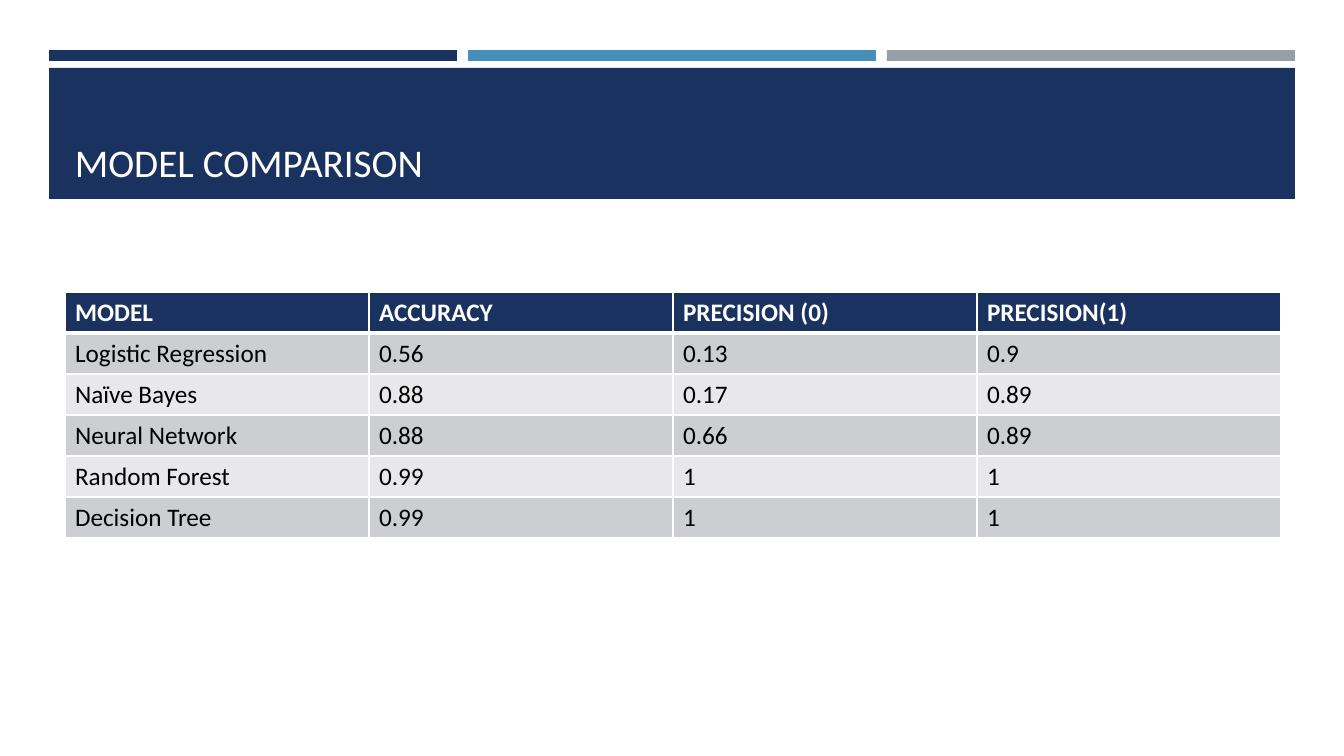
from dataclasses import dataclass

from lxml.etree import SubElement
from pptx import Presentation
from pptx.dml.color import RGBColor
from pptx.enum.shapes import MSO_SHAPE
from pptx.enum.text import MSO_ANCHOR
from pptx.oxml.ns import qn
from pptx.slide import Slide
from pptx.table import _Cell
from pptx.text.text import TextFrame
from pptx.util import Emu, Pt

PAGE_WIDTH, PAGE_HEIGHT = 1344, 756
EMU_PER_PX = 12192000 / PAGE_WIDTH


@dataclass(frozen=True)
class Theme:
    navy: str = "1A3260"
    blue: str = "4590B8"
    gray: str = "969FA7"
    white: str = "FFFFFF"
    title_text: str = "FFFEFF"
    black: str = "000000"
    bands: tuple[str, str] = ("CDCED2", "E8E8EA")
    font: str = "Calibri"
    title_size: int = 28
    table_size: int = 18
    thin_border: int = 1
    header_border: int = 3


@dataclass(frozen=True)
class Area:
    left: int
    top: int
    width: int
    height: int

    def emu(self) -> tuple[Emu, Emu, Emu, Emu]:
        return px(self.left), px(self.top), px(self.width), px(self.height)


@dataclass(frozen=True)
class Bar:
    area: Area
    color: str


THEME = Theme()
STRIP_STEP = 419
STRIPS = [
    Bar(Area(49 + index * STRIP_STEP, 50, 408, 11), color)
    for index, color in enumerate((THEME.navy, THEME.blue, THEME.gray))
]
BANNER = Bar(Area(49, 68, 1246, 131), THEME.navy)
TITLE_AREA = Area(65, 78, 1215, 112)
TABLE_LEFT, TABLE_TOP = 65, 292
COLUMN_WIDTH, ROW_HEIGHT = 304, 41

RESULTS = [
    ("MODEL", "ACCURACY", "PRECISION (0)", "PRECISION(1)"),
    ("Logistic Regression", "0.56", "0.13", "0.9"),
    ("Naïve Bayes", "0.88", "0.17", "0.89"),
    ("Neural Network", "0.88", "0.66", "0.89"),
    ("Random Forest", "0.99", "1", "1"),
    ("Decision Tree", "0.99", "1", "1"),
]


def px(length: int) -> Emu:
    return Emu(round(length * EMU_PER_PX))


def write(frame: TextFrame, text: str, *, size: int, color: str, bold: bool = False) -> None:
    span = frame.paragraphs[0].add_run()
    span.text = text
    span.font.name = THEME.font
    span.font.size = Pt(size)
    span.font.bold = bold
    span.font.color.rgb = RGBColor.from_string(color)


def draw_bar(page: Slide, bar: Bar) -> None:
    shape = page.shapes.add_shape(MSO_SHAPE.RECTANGLE, *bar.area.emu())
    shape.shadow.inherit = False
    shape.fill.solid()
    shape.fill.fore_color.rgb = RGBColor.from_string(bar.color)
    shape.line.fill.background()


def draw_title(page: Slide, text: str) -> None:
    box = page.shapes.add_textbox(*TITLE_AREA.emu())
    box.text_frame.word_wrap = True
    box.text_frame.vertical_anchor = MSO_ANCHOR.BOTTOM
    write(box.text_frame, text, size=THEME.title_size, color=THEME.title_text)


def set_borders(cell: _Cell, top: int, bottom: int) -> None:
    """Draw white cell edges; top and bottom widths are in points."""
    properties = cell._tc.get_or_add_tcPr()
    widths = {"lnL": THEME.thin_border, "lnR": THEME.thin_border, "lnT": top, "lnB": bottom}
    for edge, width in widths.items():
        line = SubElement(properties, qn(f"a:{edge}"), w=str(Pt(width)))
        fill = SubElement(line, qn("a:solidFill"))
        SubElement(fill, qn("a:srgbClr"), val=THEME.white)


def draw_table(page: Slide, rows: list[tuple[str, ...]]) -> None:
    row_count, column_count = len(rows), len(rows[0])
    area = Area(TABLE_LEFT, TABLE_TOP, COLUMN_WIDTH * column_count, ROW_HEIGHT * row_count)
    table = page.shapes.add_table(row_count, column_count, *area.emu()).table
    table.horz_banding = False
    for row_index, values in enumerate(rows):
        header = row_index == 0
        fill_color = THEME.navy if header else THEME.bands[(row_index - 1) % 2]
        top = THEME.header_border if row_index == 1 else THEME.thin_border
        bottom = THEME.header_border if header else THEME.thin_border
        for column_index, value in enumerate(values):
            cell = table.cell(row_index, column_index)
            set_borders(cell, top, bottom)
            cell.fill.solid()
            cell.fill.fore_color.rgb = RGBColor.from_string(fill_color)
            write(
                cell.text_frame,
                value,
                size=THEME.table_size,
                color=THEME.white if header else THEME.black,
                bold=header,
            )


def main() -> None:
    deck = Presentation()
    deck.slide_width, deck.slide_height = px(PAGE_WIDTH), px(PAGE_HEIGHT)
    page = deck.slides.add_slide(deck.slide_layouts[6])
    for bar in (*STRIPS, BANNER):
        draw_bar(page, bar)
    draw_title(page, "MODEL COMPARISON")
    draw_table(page, RESULTS)
    deck.save("out.pptx")


if __name__ == "__main__":
    main()
